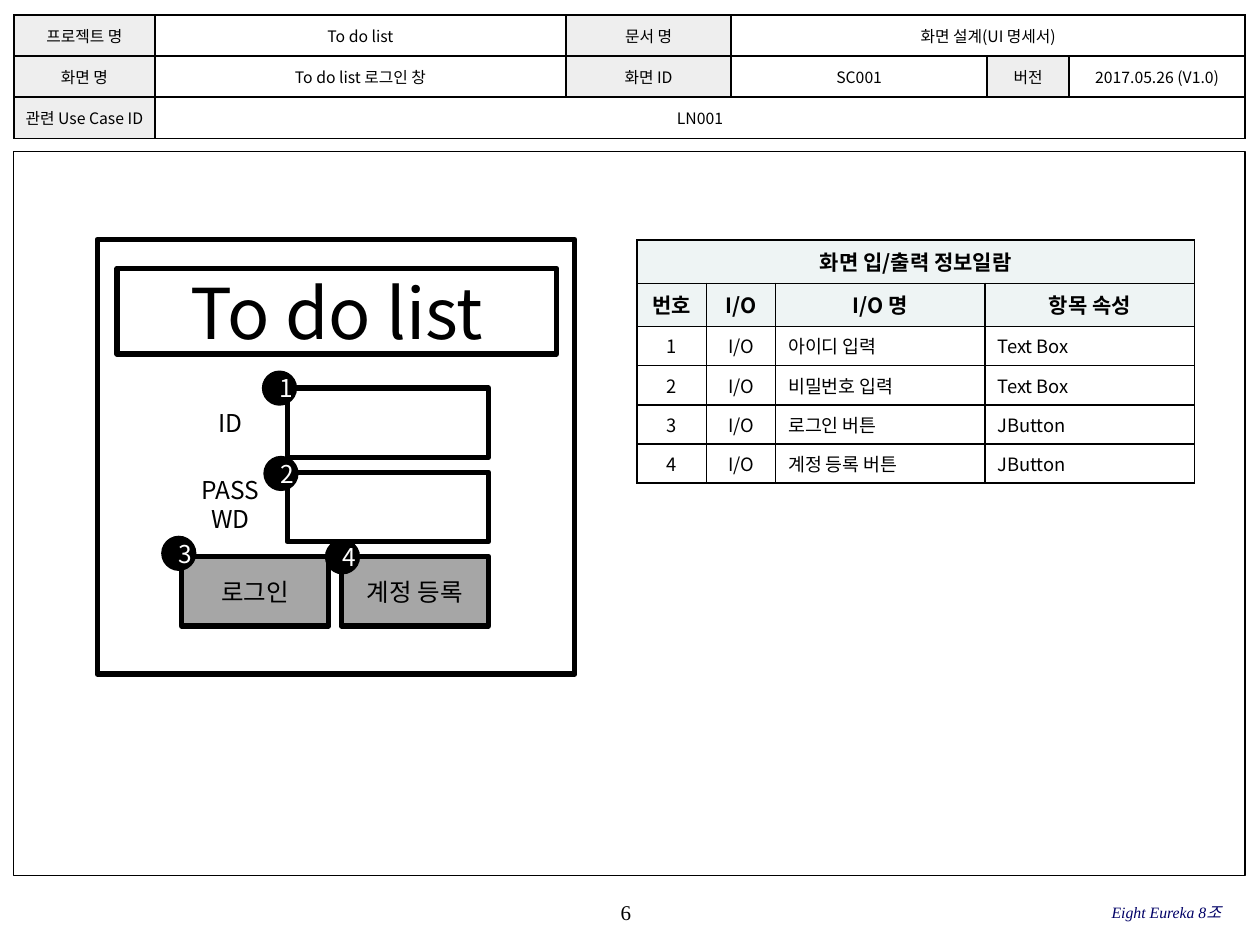
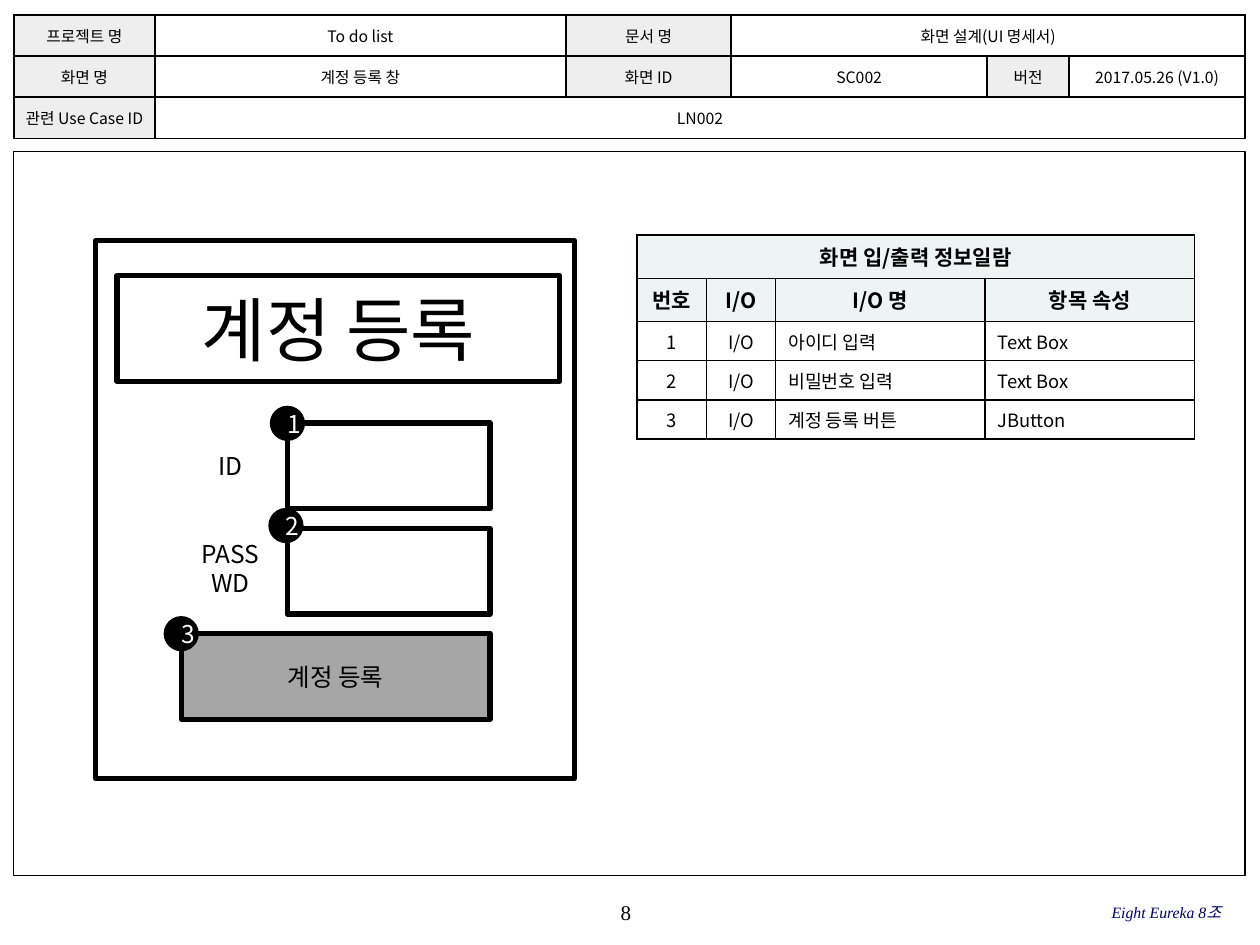
"""Builds the two UI specification slides of the To do list project."""
from lxml.etree import SubElement
from pptx import Presentation
from pptx.dml.color import RGBColor
from pptx.enum.shapes import MSO_SHAPE
from pptx.enum.text import MSO_ANCHOR, PP_ALIGN
from pptx.oxml.ns import qn
from pptx.util import Cm, Pt

BLACK = RGBColor(0x00, 0x00, 0x00)
WHITE = RGBColor(0xFF, 0xFF, 0xFF)
NAVY = RGBColor(0x00, 0x00, 0x66)
LABEL_GRAY = RGBColor(0xEE, 0xEE, 0xEE)
HEAD_TINT = RGBColor(0xEE, 0xF4, 0xF4)
BUTTON_GRAY = RGBColor(0xA6, 0xA6, 0xA6)
SANS = "Noto Sans CJK KR"
SERIF = "Times New Roman"


def write(tf, text, size, color=BLACK, align=PP_ALIGN.CENTER, font=SANS, bold=False):
    """Put one formatted paragraph into a text frame."""
    tf.text = text
    tf.word_wrap = True
    p = tf.paragraphs[0]
    p.alignment = align
    for r in p.runs:
        r.font.size = Pt(size)
        r.font.name = font
        r.font.bold = bold
        r.font.color.rgb = color
        SubElement(r.font._element, qn("a:ea"), typeface=SANS)


def add_grid(s, left, top, col_widths, row_heights, merges):
    """Add a table with thin black borders and return it."""
    frame = s.shapes.add_table(len(row_heights), len(col_widths), Cm(left), Cm(top),
                               Cm(sum(col_widths)), Cm(sum(row_heights)))
    table = frame.table
    table.first_row = table.horz_banding = False
    for col, width in zip(table.columns, col_widths):
        col.width = Cm(width)
    for row, height in zip(table.rows, row_heights):
        row.height = Cm(height)
    for r1, c1, r2, c2 in merges:
        table.cell(r1, c1).merge(table.cell(r2, c2))
    for cell in table.iter_cells():
        cell.vertical_anchor = MSO_ANCHOR.MIDDLE
        for side in ("a:lnL", "a:lnR", "a:lnT", "a:lnB"):
            ln = SubElement(cell._tc.get_or_add_tcPr(), qn(side), w=str(Pt(1)))
            fill = SubElement(ln, qn("a:solidFill"))
            SubElement(fill, qn("a:srgbClr"), val=str(BLACK))
    return table


ID_ROW = ("아이디 입력", "Text Box")
PASSWORD_ROW = ("비밀번호 입력", "Text Box")
LOGIN_ROW = ("로그인 버튼", "JButton")
REGISTER_ROW = ("계정 등록 버튼", "JButton")

screens = [
    {"page": "6", "name": "To do list 로그인 창", "id": "SC001", "use_case": "LN001",
     "io_top": 4.84, "io": [ID_ROW, PASSWORD_ROW, LOGIN_ROW, REGISTER_ROW],
     "window": (1.96, 4.83, 9.63, 8.76),
     "title": ("To do list", 2.36, 5.41, 8.86, 1.73),
     "field_top": 7.82, "field_w": 4.06, "field_h": 1.4, "pitch": 1.7,
     "buttons": [("로그인", 3.66, 2.97), ("계정 등록", 6.88, 2.97)],
     "badges": [(5.28, 7.47), (5.31, 9.19), (3.25, 10.8), (6.55, 10.87)]},
    {"page": "8", "name": "계정 등록 창", "id": "SC002", "use_case": "LN002",
     "io_top": 4.74, "io": [ID_ROW, PASSWORD_ROW, REGISTER_ROW],
     "window": (1.93, 4.85, 9.65, 10.85),
     "title": ("계정 등록", 2.36, 5.56, 8.92, 2.13),
     "field_top": 8.53, "field_w": 4.09, "field_h": 1.73, "pitch": 2.12,
     "buttons": [("계정 등록", 3.66, 6.22)],
     "badges": [(5.44, 8.18), (5.41, 10.24), (3.3, 12.42)]},
]

prs = Presentation()
prs.slide_width = Cm(25.4)
prs.slide_height = Cm(19.05)

for screen in screens:
    s = prs.slides.add_slide(prs.slide_layouts[6])

    frame = s.shapes.add_shape(MSO_SHAPE.RECTANGLE, Cm(0.28), Cm(3.05), Cm(24.82), Cm(14.6))
    frame.shadow.inherit = False
    frame.fill.background()
    frame.line.color.rgb = BLACK
    frame.line.width = Pt(0.75)

    footers = [(screen["page"], 9.98, 5.28, 12, BLACK, PP_ALIGN.CENTER),
               ("Eight Eureka 8조", 16.84, 7.77, 9, NAVY, PP_ALIGN.RIGHT)]
    for text, left, width, size, color, align in footers:
        sp = s.shapes.add_textbox(Cm(left), Cm(17.97), Cm(width), Cm(0.84))
        tf = sp.text_frame
        tf.margin_left = tf.margin_right = tf.margin_top = tf.margin_bottom = 0
        tf.vertical_anchor = MSO_ANCHOR.MIDDLE
        write(tf, text, size, color, align, SERIF)
        tf.paragraphs[0].runs[0].font.italic = color == NAVY

    header_rows = [
        ["프로젝트 명", "To do list", "문서 명", "화면 설계(UI 명세서)"],
        ["화면 명", screen["name"], "화면 ID", screen["id"], "버전", "2017.05.26 (V1.0)"],
        ["관련 Use Case ID", screen["use_case"]],
    ]
    header = add_grid(s, 0.28, 0.3, [2.84, 8.29, 3.33, 5.16, 1.65, 3.55], [0.83] * 3,
                      [(0, 3, 0, 5), (2, 1, 2, 5)])
    for i, row in enumerate(header_rows):
        for j, text in enumerate(row):
            cell = header.cell(i, j)
            cell.margin_left = cell.margin_right = Cm(0.1)
            cell.margin_top = cell.margin_bottom = Cm(0.05)
            write(cell.text_frame, text, 9)
            if j % 2 == 0:
                cell.fill.solid()
                cell.fill.fore_color.rgb = LABEL_GRAY
            else:
                cell.fill.background()

    io_rows = [["화면 입/출력 정보일람"], ["번호", "I/O", "I/O 명", "항목 속성"]]
    io_rows += [[str(n), "I/O", *item] for n, item in enumerate(screen["io"], 1)]
    io_table = add_grid(s, 12.84, screen["io_top"], [1.4, 1.4, 4.22, 4.22],
                        [0.87] * 2 + [0.79] * len(screen["io"]), [(0, 0, 0, 3)])
    for i, row in enumerate(io_rows):
        is_head = i < 2
        for j, text in enumerate(row):
            cell = io_table.cell(i, j)
            align = PP_ALIGN.CENTER if is_head or j < 2 else PP_ALIGN.LEFT
            write(cell.text_frame, text, 12 if is_head else 10.5, align=align, bold=is_head)
            cell.fill.solid()
            cell.fill.fore_color.rgb = HEAD_TINT if is_head else WHITE

    top, pitch, height = screen["field_top"], screen["pitch"], screen["field_h"]
    boxes = [("", *screen["window"], None, 14), (*screen["title"], WHITE, 40)]
    boxes += [("", 5.79, top + n * pitch, screen["field_w"], height, None, 14) for n in range(2)]
    boxes += [(text, left, top + 2 * pitch, width, height, BUTTON_GRAY, 14)
              for text, left, width in screen["buttons"]]
    wireframe = s.shapes.add_group_shape()
    for text, left, y, width, h, color, size in boxes:
        sp = wireframe.shapes.add_shape(MSO_SHAPE.RECTANGLE, Cm(left), Cm(y), Cm(width), Cm(h))
        sp.shadow.inherit = False
        if color is None:
            sp.fill.background()
        else:
            sp.fill.solid()
            sp.fill.fore_color.rgb = color
        sp.line.color.rgb = BLACK
        sp.line.width = Pt(3)
        SubElement(sp._element.spPr.find(qn("a:ln")), qn("a:round"))
        if text:
            write(sp.text_frame, text, size)

    for text, y in (("ID", top), ("PASSWD", top + pitch - 0.06)):
        sp = wireframe.shapes.add_textbox(Cm(3.66), Cm(y), Cm(1.98), Cm(height))
        sp.text_frame.vertical_anchor = MSO_ANCHOR.MIDDLE
        write(sp.text_frame, text, 14)

    for n, (left, y) in enumerate(screen["badges"], 1):
        sp = s.shapes.add_shape(MSO_SHAPE.OVAL, Cm(left), Cm(y), Cm(0.71), Cm(0.71))
        sp.shadow.inherit = False
        sp.fill.solid()
        sp.fill.fore_color.rgb = BLACK
        sp.line.fill.background()
        write(sp.text_frame, str(n), 14, WHITE)

prs.save("out.pptx")
